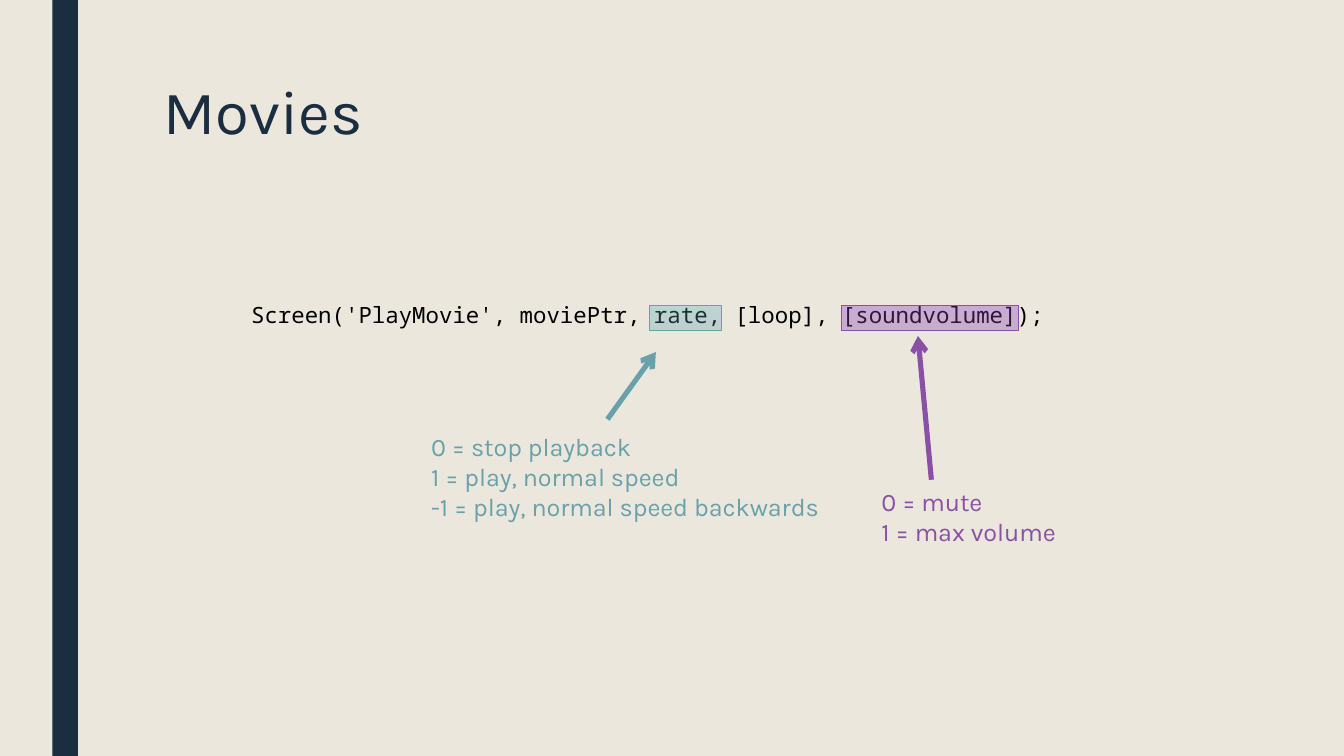
from pptx import Presentation
from pptx import util as u
from pptx.dml.color import RGBColor
from pptx.enum import shapes, text
from pptx.oxml.ns import qn
from lxml import etree

SLIDE_WIDTH = 10
SLIDE_HEIGHT = SLIDE_WIDTH * 9 / 16
COLORS = {
    "background": "EBE7DD",
    "navy": "1A2E40",
    "code": "000000",
    "teal": "69A1AB",
    "teal_start": "5A98A3",
    "teal_end": "58ACBB",
    "purple": "8950A6",
    "purple_start": "8146A3",
    "purple_end": "903BBC",
}
TEXT_FORMATS = {
    "title": {"name": "Karla", "size": u.Pt(33)},
    "code": {"name": "Noto Sans Mono", "size": u.Pt(12)},
    "callout": {"name": "Karla", "size": u.Pt(13.5)},
}


def rgb(color):
    return RGBColor.from_string(COLORS[color])


def inches(values):
    return [u.Inches(value) for value in values]


def add_text(slide, box, lines, style, color, line_spacing=1.0):
    shape = slide.shapes.add_textbox(*inches(box))
    frame = shape.text_frame
    frame.word_wrap = True
    frame.vertical_anchor = text.MSO_ANCHOR.TOP
    frame.text = "\n".join(lines)
    for paragraph in frame.paragraphs:
        paragraph.line_spacing = line_spacing
        for key, value in TEXT_FORMATS[style].items():
            setattr(paragraph.font, key, value)
        paragraph.font.color.rgb = rgb(color)


def add_rectangle(slide, box):
    shape = slide.shapes.add_shape(shapes.MSO_SHAPE.RECTANGLE, *inches(box))
    shape.shadow.inherit = False
    return shape


def add_sidebar(slide, box):
    shape = add_rectangle(slide, box)
    shape.fill.solid()
    shape.fill.fore_color.rgb = rgb("navy")
    shape.line.fill.background()


def add_highlight(slide, box, color, opacity):
    shape = add_rectangle(slide, box)
    shape.fill.gradient()
    shape.fill.gradient_angle = 90
    for stop, end in zip(shape.fill.gradient_stops, ("start", "end")):
        stop.color.rgb = rgb(f"{color}_{end}")
    for element in shape._element.spPr.find(qn("a:gradFill")).iter(qn("a:srgbClr")):
        etree.SubElement(element, qn("a:alpha"), val=str(opacity * 1000))
    shape.line.color.rgb = rgb(color)
    shape.line.width = u.Pt(0.5)


def add_arrow(slide, start, end, color):
    connector = slide.shapes.add_connector(
        shapes.MSO_CONNECTOR.STRAIGHT, *inches(start + end)
    )
    connector.line.color.rgb = rgb(color)
    connector.line.width = u.Pt(2.75)
    properties = connector._element.spPr
    etree.SubElement(properties.find(qn("a:ln")), qn("a:tailEnd"), type="arrow")
    etree.SubElement(properties, qn("a:effectLst"))


def main():
    presentation = Presentation()
    presentation.slide_width = u.Inches(SLIDE_WIDTH)
    presentation.slide_height = u.Inches(SLIDE_HEIGHT)
    slide = presentation.slides.add_slide(presentation.slide_layouts[6])
    slide.background.fill.solid()
    slide.background.fill.fore_color.rgb = rgb("background")

    add_sidebar(slide, (0.39, 0, 0.19, SLIDE_HEIGHT))
    add_text(slide, (1.12, 0.56, 7.88, 1.22), ["Movies"], "title", "navy", 0.89)
    code = "Screen('PlayMovie', moviePtr, rate, [loop], [soundvolume]);"
    add_text(slide, (1.77, 2.19, 6.6, 0.3), [code], "code", "code")

    rate_lines = [
        "0 = stop playback",
        "1 = play, normal speed",
        "-1 = play, normal speed backwards",
    ]
    add_arrow(slide, (4.52, 3.12), (4.88, 2.62), "teal")
    add_text(slide, (3.11, 3.16, 3.54, 0.78), rate_lines, "callout", "teal")
    add_highlight(slide, (4.83, 2.27, 0.54, 0.19), "teal", 30)

    volume_lines = ["0 = mute", "1 = max volume"]
    add_highlight(slide, (6.26, 2.27, 1.32, 0.19), "purple", 35)
    add_arrow(slide, (6.93, 3.57), (6.83, 2.5), "purple")
    add_text(slide, (6.46, 3.57, 1.59, 0.56), volume_lines, "callout", "purple")

    presentation.save("out.pptx")


if __name__ == "__main__":
    main()
